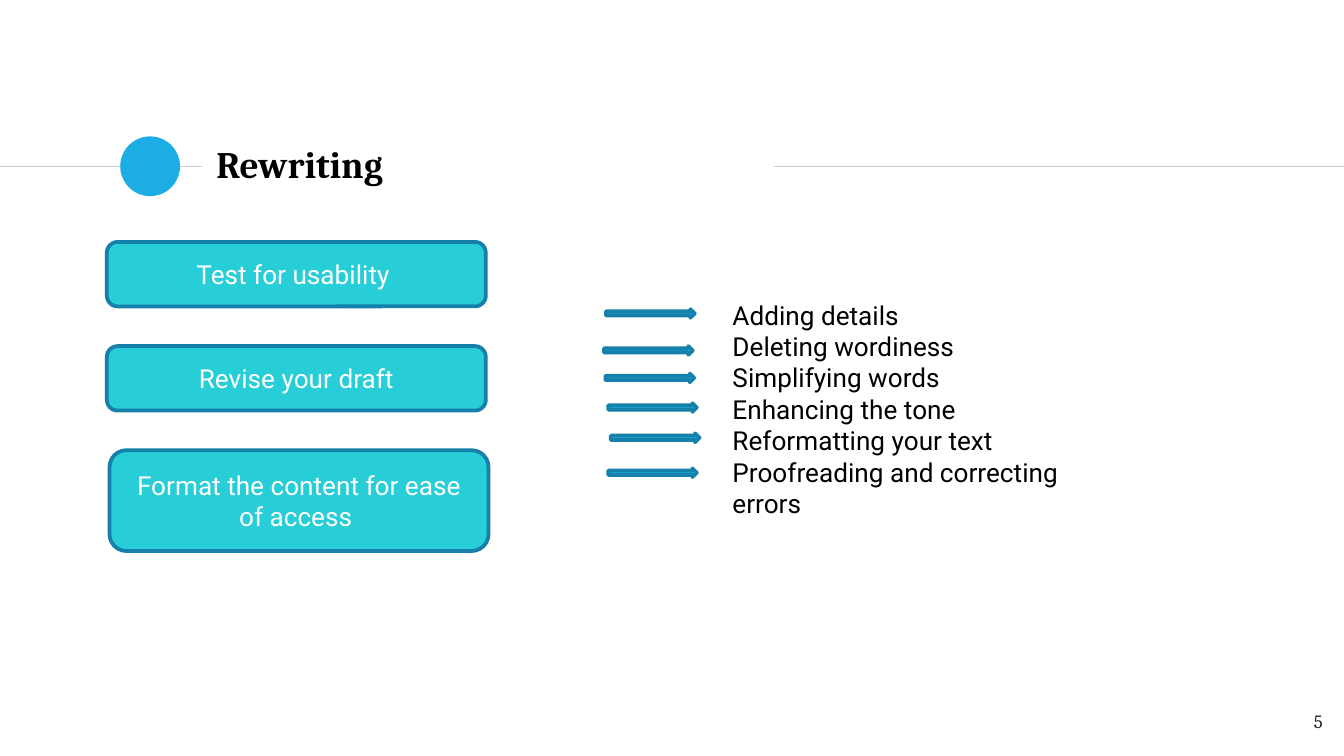
from lxml.etree import SubElement
from pptx import Presentation
from pptx.dml.color import RGBColor
from pptx.enum.shapes import MSO_CONNECTOR, MSO_SHAPE
from pptx.enum.text import MSO_ANCHOR, MSO_AUTO_SIZE, PP_ALIGN
from pptx.oxml.ns import qn
from pptx.util import Pt

PX = 4572


def rgb(value):
    return RGBColor.from_string(value)


def add_run(p, text, size, font, color, bold=False):
    r = p.add_run()
    r.text = text
    r.font.size = Pt(size)
    r.font.name = font
    r.font.bold = bold
    r.font.color.rgb = rgb(color)


prs = Presentation()
prs.slide_width = 2000 * PX
prs.slide_height = 1125 * PX
s = prs.slides.add_slide(prs.slide_layouts[1])

for x1, x2 in [(0, 300), (1152, 2000)]:
    line = s.shapes.add_connector(MSO_CONNECTOR.STRAIGHT, x1 * PX, 248 * PX, x2 * PX, 248 * PX)
    line.line.color.rgb = rgb("CCCCCC")
    line.line.width = Pt(0.75)
    SubElement(line._element.spPr, qn("a:effectLst"))

dot = s.shapes.add_shape(MSO_SHAPE.OVAL, 179 * PX, 203 * PX, 89 * PX, 89 * PX)
dot.shadow.inherit = False
dot.fill.solid()
dot.fill.fore_color.rgb = rgb("1CADE4")
dot.line.fill.background()

title = s.shapes.title
title.left, title.top, title.width, title.height = 302 * PX, 196 * PX, 848 * PX, 96 * PX
tf = title.text_frame
tf.auto_size = MSO_AUTO_SIZE.NONE
tf.vertical_anchor = MSO_ANCHOR.MIDDLE
tf.margin_left = tf.margin_right = tf.margin_top = tf.margin_bottom = 20 * PX
p = tf.paragraphs[0]
p.alignment = PP_ALIGN.LEFT
add_run(p, "Rewriting", 20, "Cambria", "000000", True)

number = s.shapes.add_textbox(1868 * PX, 1039 * PX, 120 * PX, 86 * PX)
tf = number.text_frame
tf.word_wrap = True
tf.margin_left = tf.margin_right = tf.margin_top = tf.margin_bottom = 20 * PX
p = tf.paragraphs[0]
p.alignment = PP_ALIGN.RIGHT
add_run(p, "5", 10, "Cambria", "1D1D1B")

steps = [
    (159, 360, 96, "Test for usability "),
    (159, 515, 96, "Revise your draft"),
    (163, 670, 150, "Format the content for ease of access "),
]
for x, y, h, text in steps:
    sp = s.shapes.add_shape(MSO_SHAPE.ROUNDED_RECTANGLE, x * PX, y * PX, 564 * PX, h * PX)
    sp.shadow.inherit = False
    sp.fill.solid()
    sp.fill.fore_color.rgb = rgb("27CED7")
    sp.line.color.rgb = rgb("1580A9")
    sp.line.width = Pt(2)
    tf = sp.text_frame
    tf.word_wrap = True
    tf.vertical_anchor = MSO_ANCHOR.MIDDLE
    p = tf.paragraphs[0]
    p.alignment = PP_ALIGN.CENTER
    add_run(p, text, 14, "Roboto", "FFFFFF")

body = s.placeholders[1]
body.left, body.top, body.width, body.height = 1070 * PX, 435 * PX, 526 * PX, 350 * PX
tf = body.text_frame
tf.auto_size = MSO_AUTO_SIZE.NONE
tf.vertical_anchor = MSO_ANCHOR.TOP

tasks = [
    (902, 460, "Adding details"),
    (899, 515, "Deleting wordiness"),
    (901, 556, "Simplifying words"),
    (905, 600, "Enhancing the tone"),
    (909, 645, "Reformatting your text"),
    (905, 697, "Proofreading and correcting errors"),
]
for i, (x, y, text) in enumerate(tasks):
    p = tf.add_paragraph() if i else tf.paragraphs[0]
    pPr = p._p.get_or_add_pPr()
    pPr.set("marL", "0")
    pPr.set("indent", "0")
    SubElement(pPr, qn("a:buNone"))
    p.space_before = Pt(0)
    add_run(p, text, 14, "Roboto", "000000")

    arrow = s.shapes.add_shape(MSO_SHAPE.RIGHT_ARROW, x * PX, y * PX, 132 * PX, 13 * PX)
    arrow.shadow.inherit = False
    arrow.fill.solid()
    arrow.fill.fore_color.rgb = rgb("1CADE4")
    arrow.line.color.rgb = rgb("1580A9")
    arrow.line.width = Pt(2)

prs.save("out.pptx")
